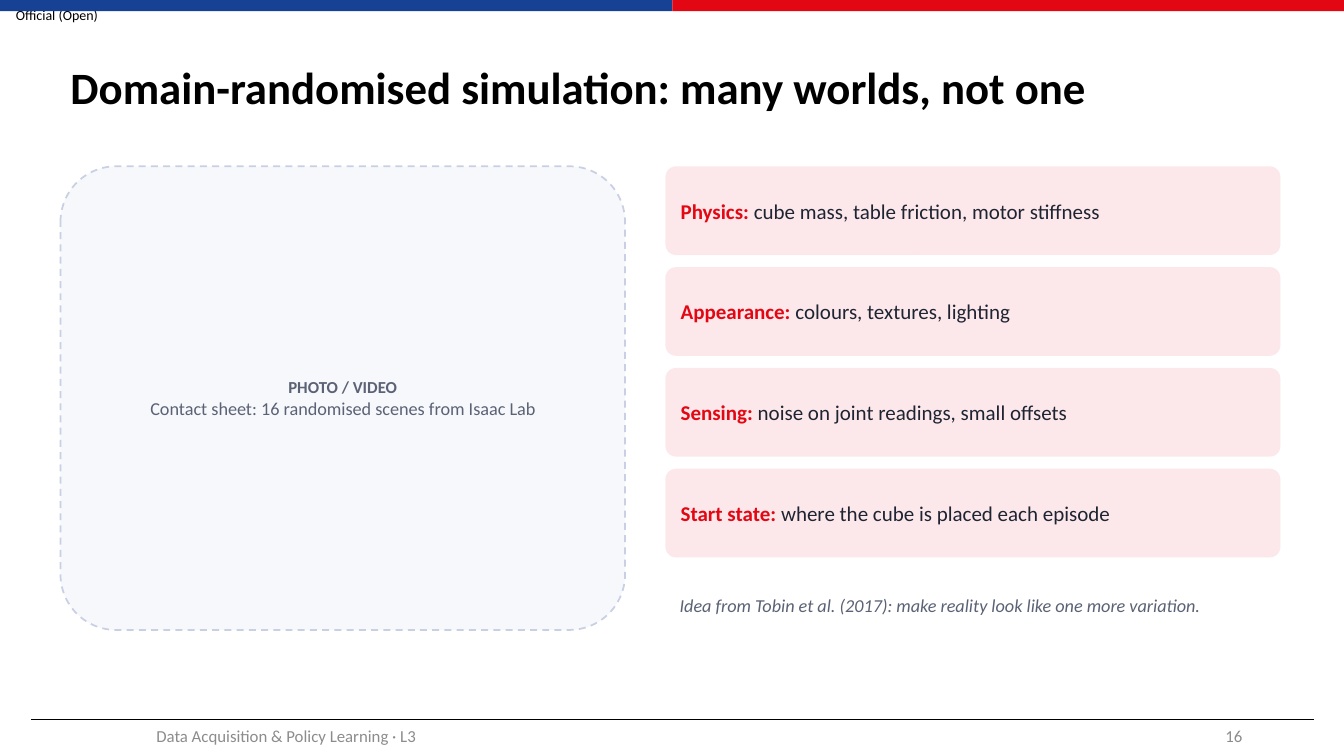
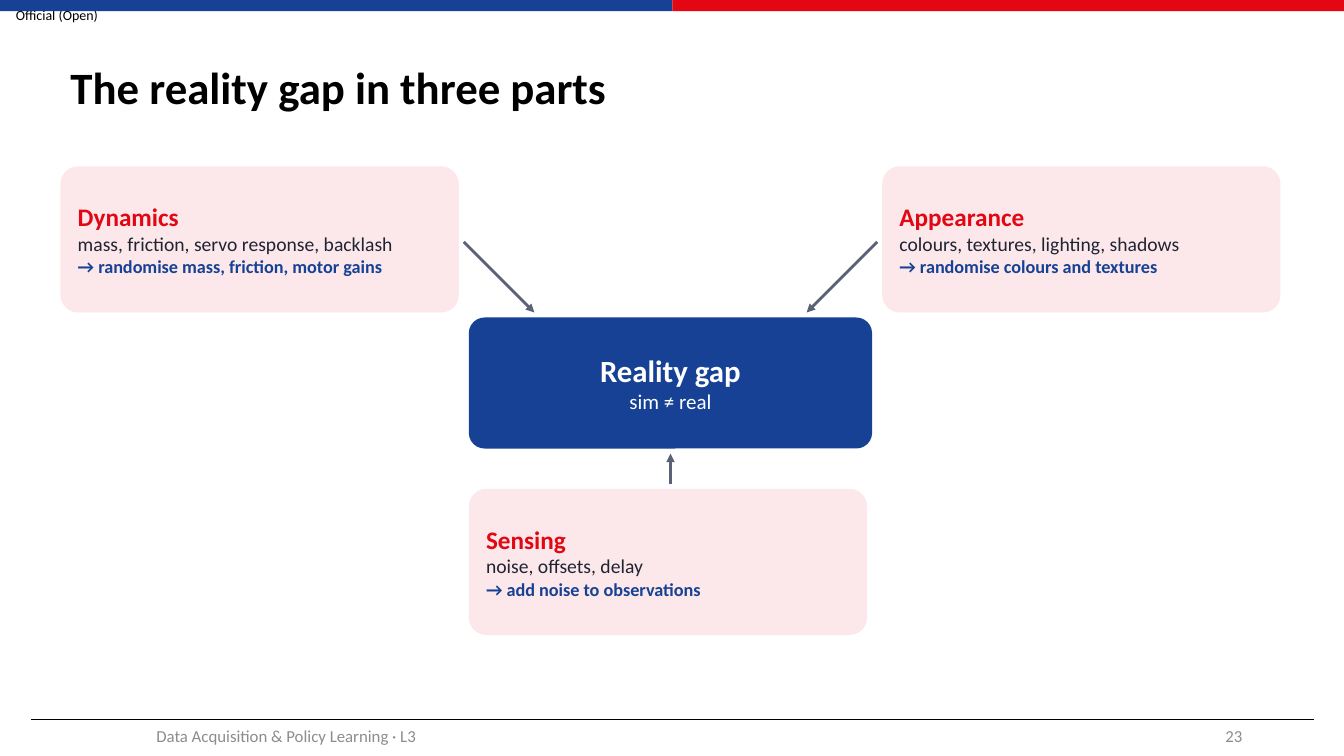
from lxml import etree
from pptx import Presentation
from pptx import util as u
from pptx.dml.color import RGBColor
from pptx.enum import dml, shapes, text
from pptx.oxml import ns

PX = 9144
COLORS = {
    "blue": "164194", "red": "E30613", "blush": "FCE8EA", "mist": "F7F8FC",
    "dash": "C9D0E3", "slate": "5B6275", "ink": "1F2433", "grey": "8C8C8C",
    "black": "000000", "white": "FFFFFF",
}
ALIGN = {"l": text.PP_ALIGN.LEFT, "c": text.PP_ALIGN.CENTER, "r": text.PP_ALIGN.RIGHT}


def px(*values):
    return [u.Emu(v * PX) for v in values]


def rgb(name):
    return RGBColor.from_string(COLORS[name])


def write(sp, paragraphs, align="l", spacing=None, inset=(10, 5)):
    tf = sp.text_frame
    tf.word_wrap = True
    tf.vertical_anchor = text.MSO_ANCHOR.MIDDLE
    tf.margin_left, tf.margin_top = px(*inset)
    tf.margin_right, tf.margin_bottom = px(*inset)
    for i, runs in enumerate(paragraphs):
        p = tf.add_paragraph() if i else tf.paragraphs[0]
        p.alignment = ALIGN[align]
        if spacing:
            p.line_spacing = spacing
        for content, size, color, style in runs:
            r = p.add_run()
            r.text = content
            r.font.name = "Calibri"
            r.font.size = u.Pt(size)
            r.font.color.rgb = rgb(color)
            r.font.bold = style == "b"
            r.font.italic = style == "i"


class Deck:
    def __init__(self):
        self.prs = Presentation()
        self.prs.slide_width, self.prs.slide_height = px(1333, 750)
        self.s = None

    def slide(self, title, number):
        self.s = self.prs.slides.add_slide(self.prs.slide_layouts[6])
        self.label("Official (Open)", (0, 0, 113, 29), 10, "black", align="c", inset=(0, 0))
        self.shape("RECTANGLE", (0, 0, 667, 11), "blue")
        self.shape("RECTANGLE", (667, 0, 666, 11), "red")
        self.line((31, 714), (1303, 714), "black", 0.5)
        self.label(title, (60, 30, 1208, 118), 32, "black", "b", spacing=0.9)
        self.label("Data Acquisition & Policy Learning · L3", (59, 710, 450, 40), 12, "grey", align="c")
        self.label(str(number), (942, 710, 300, 40), 12, "grey", align="r")

    def label(self, content, box, size, color, style="", **fmt):
        sp = self.s.shapes.add_textbox(*px(*box))
        write(sp, [[(content, size, color, style)]], **fmt)

    def shape(self, kind, box, fill=None):
        sp = self.s.shapes.add_shape(shapes.MSO_SHAPE[kind], *px(*box))
        sp.shadow.inherit = False
        sp.line.fill.background()
        if fill:
            sp.fill.solid()
            sp.fill.fore_color.rgb = rgb(fill)
        else:
            sp.fill.background()
        return sp

    def card(self, box, paragraphs, fill="blush", align="l"):
        sp = self.shape("ROUNDED_RECTANGLE", box, fill)
        sp.adjustments[0] = 0.12
        write(sp, paragraphs, align=align, inset=(12, 6))
        return sp

    def media(self, box, caption):
        sp = self.card(box, [[("PHOTO / VIDEO", 12, "slate", "b")], [(caption, 13, "slate", "")]], "mist", "c")
        sp.line.color.rgb = rgb("dash")
        sp.line.width = u.Pt(1.25)
        sp.line.dash_style = dml.MSO_LINE.DASH

    def line(self, start, end, color, width, arrow=False):
        sp = self.s.shapes.add_connector(shapes.MSO_CONNECTOR.STRAIGHT, *px(*start, *end))
        sp.line.color.rgb = rgb(color)
        sp.line.width = u.Pt(width)
        if arrow:
            etree.SubElement(sp.line._get_or_add_ln(), ns.qn("a:tailEnd"), type="triangle")
        etree.SubElement(sp._element.spPr, ns.qn("a:effectLst"))


def randomisation(deck):
    deck.slide("Domain-randomised simulation: many worlds, not one", 16)
    deck.media((60, 165, 560, 460), "Contact sheet: 16 randomised scenes from Isaac Lab")
    factors = [
        ("Physics: ", "cube mass, table friction, motor stiffness"),
        ("Appearance: ", "colours, textures, lighting"),
        ("Sensing: ", "noise on joint readings, small offsets"),
        ("Start state: ", "where the cube is placed each episode"),
    ]
    for i, (name, detail) in enumerate(factors):
        deck.card((660, 165 + 100 * i, 610, 88), [[(name, 15, "red", "b"), (detail, 15, "ink", "")]])
    note = "Idea from Tobin et al. (2017): make reality look like one more variation."
    deck.card((660, 570, 610, 60), [[(note, 13, "slate", "i")]], fill=None)


def reality_gap(deck):
    deck.slide("The reality gap in three parts", 23)
    deck.card((465, 315, 400, 130),
              [[("Reality gap", 22, "white", "b")], [("sim ≠ real", 15, "white", "")]], "blue", "c")
    parts = [
        (60, 165, "Dynamics", "mass, friction, servo response, backlash",
         "→ randomise mass, friction, motor gains"),
        (875, 165, "Appearance", "colours, textures, lighting, shadows",
         "→ randomise colours and textures"),
        (465, 485, "Sensing", "noise, offsets, delay", "→ add noise to observations"),
    ]
    for x, y, name, causes, remedy in parts:
        deck.card((x, y, 395, 145), [[(name, 18, "red", "b")], [(causes, 14, "ink", "")],
                                     [(remedy, 13, "blue", "b")]])
    for start, end in [((460, 240), (530, 310)), ((870, 240), (800, 310)), ((665, 480), (665, 450))]:
        deck.line(start, end, "slate", 2, arrow=True)


def main():
    deck = Deck()
    randomisation(deck)
    reality_gap(deck)
    deck.prs.save("out.pptx")


if __name__ == "__main__":
    main()
